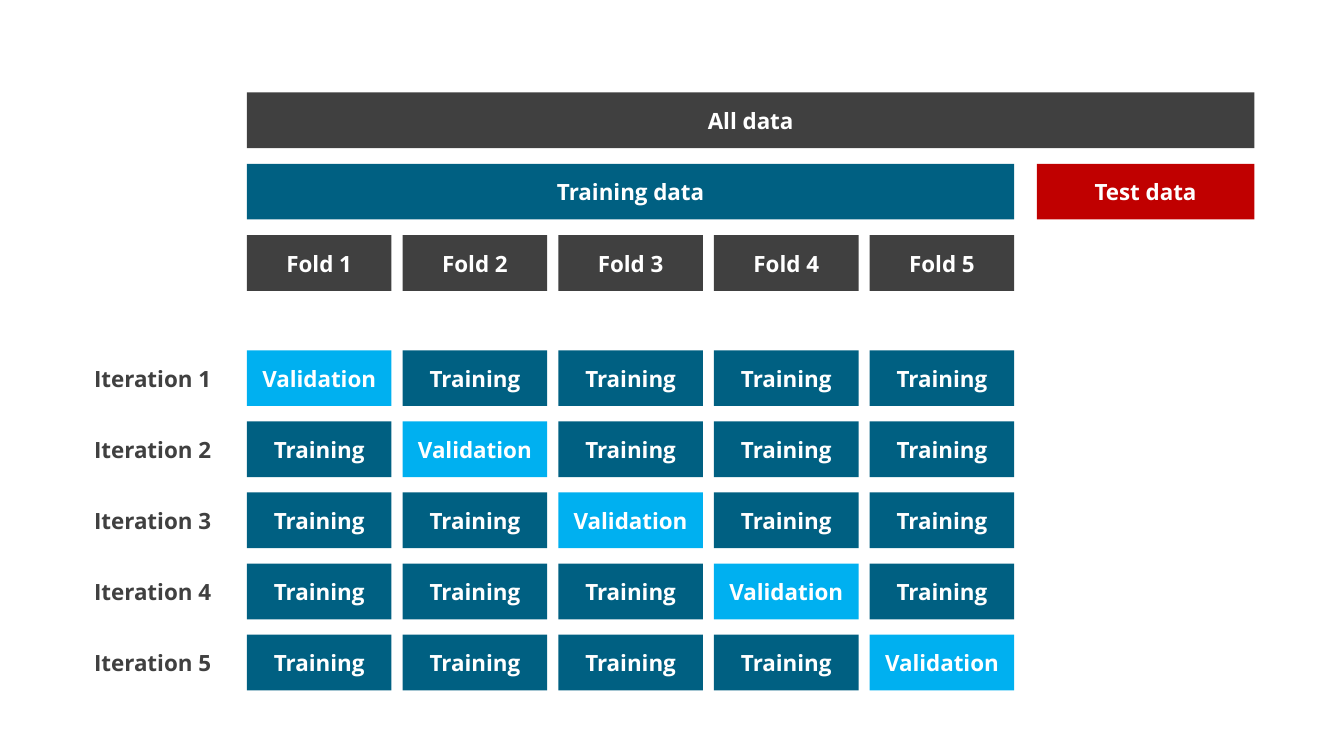
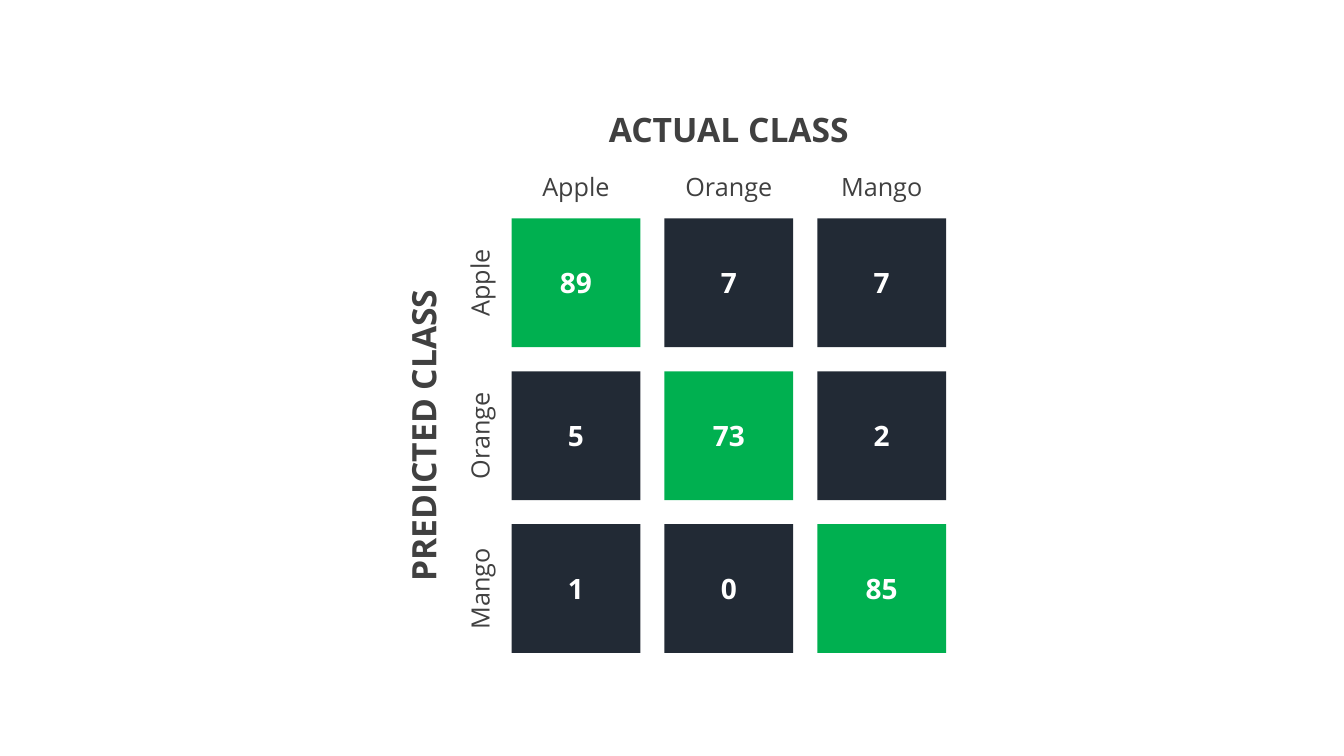
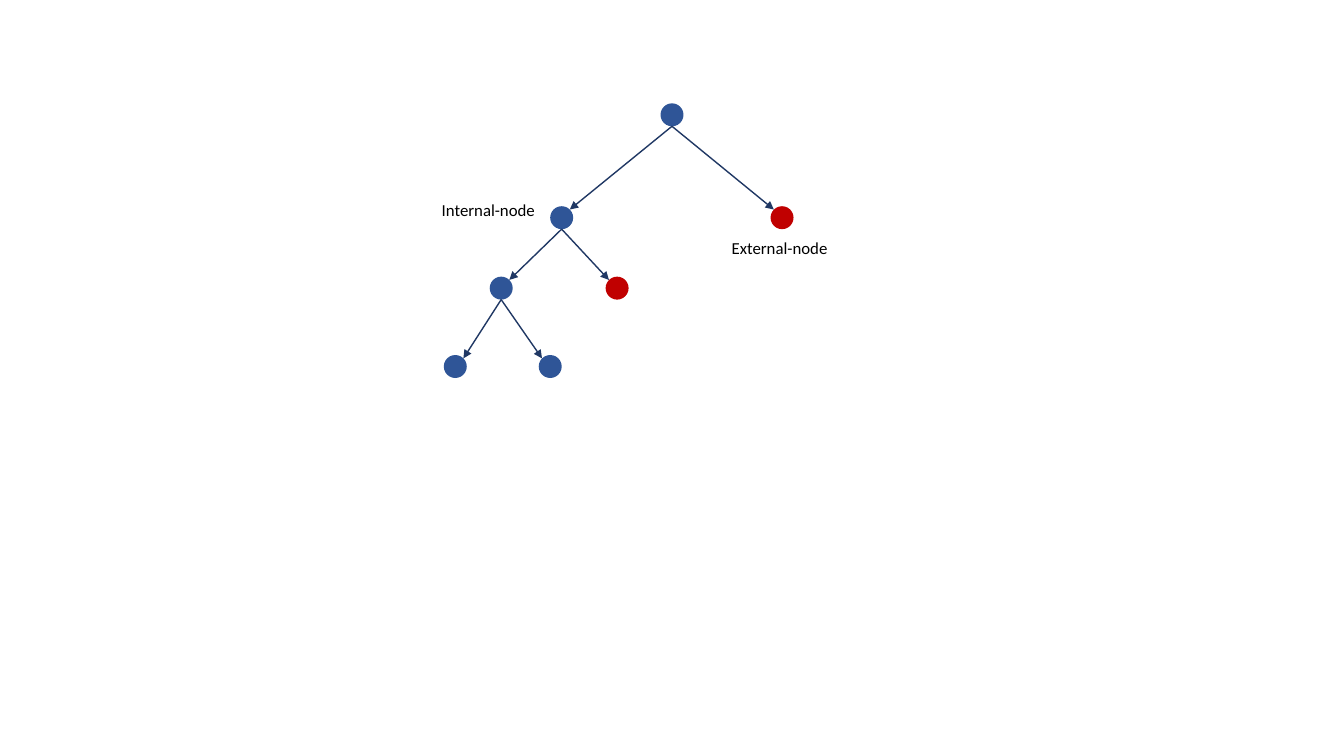
import pptx
import pptx.util
import pptx.dml.color
import pptx.enum.shapes
import pptx.enum.text
import pptx.oxml.ns
from lxml import etree

Pt = pptx.util.Pt
KIND = pptx.enum.shapes.MSO_SHAPE
MID = pptx.enum.text.MSO_ANCHOR.MIDDLE
TOP = pptx.enum.text.MSO_ANCHOR.TOP
GROW = pptx.enum.text.MSO_AUTO_SIZE.SHAPE_TO_FIT_TEXT
MID_ROW = pptx.enum.text.PP_ALIGN.CENTER

HUES = {
    "white": "FFFFFF", "black": "000000", "gray": "404040",
    "teal": "006082", "sky": "00B0F0", "red": "C00000",
    "dark": "222A35", "green": "00B050",
    "blue": "2F5597", "navy": "203864",
}

# Text styles: font values, then the hue name
BOX = ({"name": "Open Sans", "size": Pt(16), "bold": True}, "white")
SIDE = (BOX[0], "gray")
COUNT = ({**BOX[0], "size": Pt(20)}, "white")
HEAD = ({**BOX[0], "size": Pt(24)}, "gray")
CLASS = ({"name": "Open Sans", "size": Pt(18), "bold": False}, "gray")
NOTE = ({"name": "Calibri", "size": Pt(12), "bold": False}, "black")


def rgb(hue):
    return pptx.dml.color.RGBColor.from_string(HUES[hue])


def write(shape, text, style, align=MID_ROW, **frame):
    """Put one styled line of text into a shape."""
    body = shape.text_frame
    for key, val in {"word_wrap": True, **frame}.items():
        setattr(body, key, val)
    line = body.paragraphs[0]
    line.alignment = align
    run = line.add_run()
    run.text = text
    form, hue = style
    for key, val in form.items():
        setattr(run.font, key, val)
    run.font.color.rgb = rgb(hue)


def solid(slide, kind, area, hue):
    """Add a filled shape with no outline."""
    shape = slide.shapes.add_shape(kind, *map(Pt, area))
    shape.shadow.inherit = False
    shape.fill.solid()
    shape.fill.fore_color.rgb = rgb(hue)
    shape.line.fill.background()
    return shape


def block(slide, area, text, hue, style=BOX):
    shape = solid(slide, KIND.RECTANGLE, area, hue)
    write(shape, text, style, vertical_anchor=MID)


def label(slide, area, text, style, turn=0, **frame):
    shape = slide.shapes.add_textbox(*map(Pt, area))
    shape.rotation = turn
    write(shape, text, style, **frame)


def arrow(slide, start, end):
    line = slide.shapes.add_connector(
        pptx.enum.shapes.MSO_CONNECTOR.STRAIGHT, *map(Pt, start + end))
    line.line.color.rgb = rgb("navy")
    line.line.width = Pt(1)
    qn = pptx.oxml.ns.qn
    tip = etree.SubElement(line.line._get_or_add_ln(), qn("a:tailEnd"))
    tip.set("type", "triangle")
    etree.SubElement(line._element.spPr, qn("a:effectLst"))


def folds(slide):
    """Cross-validation with five folds."""
    left, wide, high, step, drop = 176.4, 103.3, 39.8, 111.2, 50.8
    total, fifth = 719.6, 4 * step + wide
    test = 155.4

    # Data bars
    block(slide, (left, 66, total, high), "All data", "gray")
    block(slide, (left, 117, fifth, high), "Training data", "teal")
    block(slide, (left + total - test, 117, test, high), "Test data", "red")

    # Folds and iterations
    for row in range(5):
        block(slide, (left + row * step, 168, wide, high),
              f"Fold {row + 1}", "gray")
        top = 250.2 + row * drop
        label(slide, (57.4, top, wide, high), f"Iteration {row + 1}", SIDE,
              vertical_anchor=MID)
        for col in range(5):
            text, hue = (("Validation", "sky") if row == col
                         else ("Training", "teal"))
            block(slide, (left + col * step, top, wide, high), text, hue)


def matrix(slide):
    """Confusion matrix of three classes."""
    left, top, side, step = 365.4, 156, 92, 109.2
    span = 2 * step + side
    names = ("Apple", "Orange", "Mango")
    counts = ((89, 7, 7), (5, 73, 2), (1, 0, 85))
    grow = {"auto_size": GROW, "vertical_anchor": TOP}

    # Axis titles
    label(slide, (left, 74.2, span, 36), "ACTUAL CLASS", HEAD, **grow)
    label(slide, (147, top + span / 2 - 18, span, 36), "PREDICTED CLASS",
          HEAD, 270, **grow)

    # Class names and counts
    for row, name in enumerate(names):
        shift = row * step
        label(slide, (left + shift, 118.8, side, 29), name, CLASS, **grow)
        label(slide, (296.6, top + shift + side / 2 - 14.5, side, 29), name,
              CLASS, 270, **grow)
        for col, count in enumerate(counts[row]):
            block(slide, (left + col * step, top + shift, side, side),
                  str(count), "green" if row == col else "dark", COUNT)


def tree(slide):
    """Binary tree with internal and external nodes."""
    size = 16.4
    half, slant = size / 2, size / 2 * 0.71
    # Node centres, hues and parents
    nodes = {
        "root": (480, 82, "blue", None),
        "inner": (401.2, 155.5, "blue", "root"),
        "outer": (558.6, 155.5, "red", "root"),
        "low": (358, 205.8, "blue", "inner"),
        "end": (440.8, 205.8, "red", "inner"),
        "left": (325.2, 261.8, "blue", "low"),
        "right": (393, 261.8, "blue", "low"),
    }
    for x, y, hue, _ in nodes.values():
        solid(slide, KIND.FLOWCHART_CONNECTOR,
              (x - half, y - half, size, size), hue)

    # Arrows from the foot of a parent to the near shoulder of a child
    for x, y, _, above in nodes.values():
        if above:
            px, py = nodes[above][:2]
            near = slant if x < px else -slant
            arrow(slide, (px, py + half), (x + near, y - slant))

    # Labels
    for x, y, text in ((515.5, 166.3, "External-node"),
                       (308.4, 139, "Internal-node")):
        label(slide, (x, y, 87, 21.8), text, NOTE, auto_size=GROW,
              align=pptx.enum.text.PP_ALIGN.LEFT)


def main():
    deck = pptx.Presentation()
    deck.slide_width, deck.slide_height = Pt(960), Pt(540)
    for draw in (folds, matrix, tree):
        draw(deck.slides.add_slide(deck.slide_layouts[6]))
    deck.save("out.pptx")


if __name__ == "__main__":
    main()
